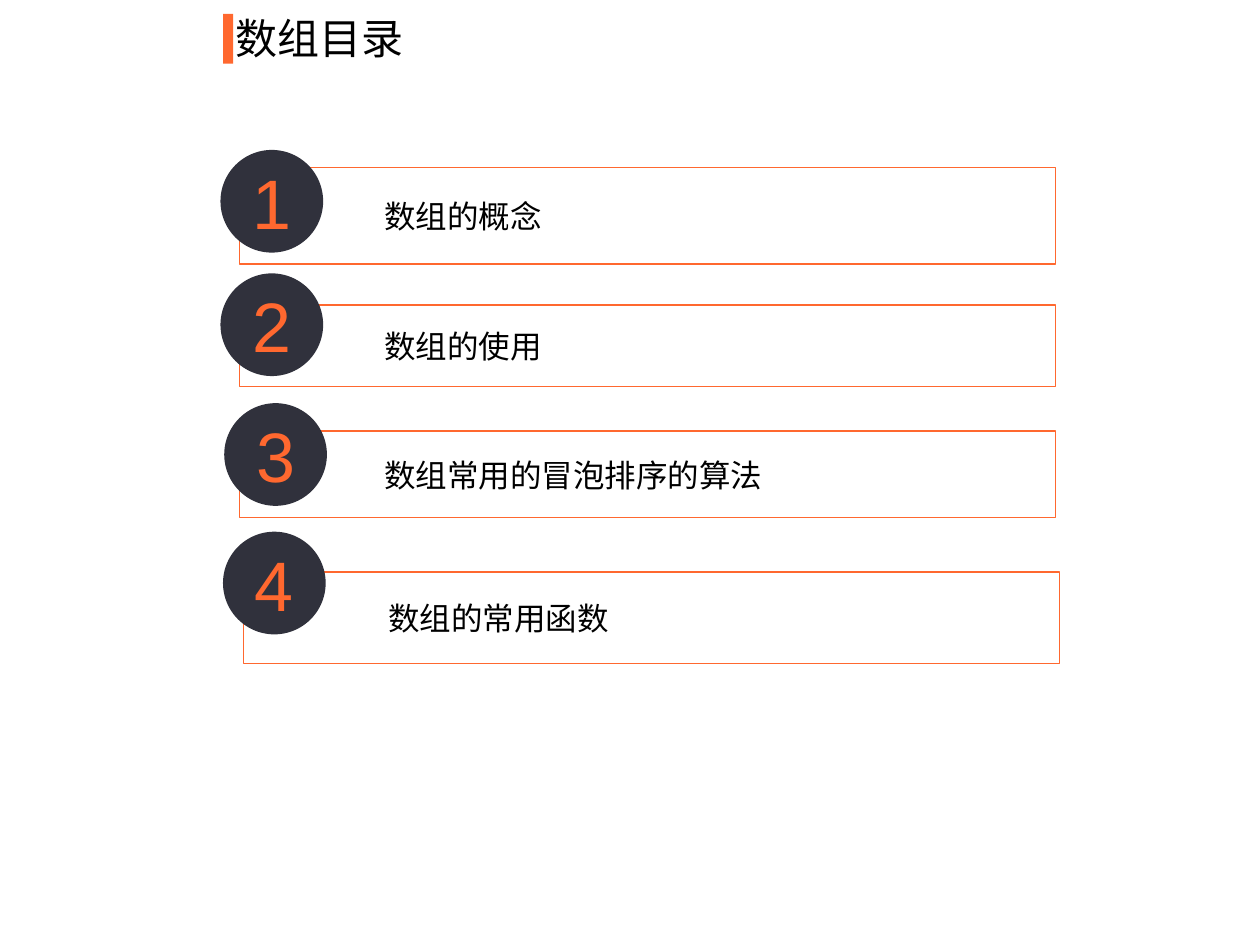
from typing import NamedTuple

from lxml import etree
from pptx import Presentation
from pptx import util as u
from pptx.dml.color import RGBColor
from pptx.enum import shapes, text
from pptx.oxml.ns import qn

COLORS = {"accent": "FF682F", "dark": "30313C", "panel": "FFFFFF", "ink": "000000"}
LATIN, CJK = "Arial", "Noto Sans CJK SC"
CELL = u.Inches(0.1)  # the slide is a grid of 100 columns by 75 rows
PANEL_WIDTH = 64.8
NO_INSET = (0, 0, 0, 0)


class Box(NamedTuple):
    """A place on the grid, in columns and rows."""
    column: float
    row: float
    columns: float
    rows: float

    def lengths(self) -> list[int]:
        return [round(value * CELL) for value in self]


class Entry(NamedTuple):
    label: str
    font: str
    panel: Box
    badge: Box


ENTRIES = [
    Entry("数组的概念", LATIN, Box(19, 13.3, PANEL_WIDTH, 7.65), Box(17.5, 11.9, 8.15, 8.15)),
    Entry("数组的使用", LATIN, Box(19, 24.2, PANEL_WIDTH, 6.5), Box(17.5, 21.7, 8.15, 8.15)),
    Entry("数组常用的冒泡排序的算法", CJK, Box(19, 34.2, PANEL_WIDTH, 6.9), Box(17.8, 32, 8.15, 8.15)),
    Entry("数组的常用函数", CJK, Box(19.3, 45.4, PANEL_WIDTH, 7.25), Box(17.7, 42.2, 8.15, 8.15)),
]


def write(shape, content: str, *, size: float, font: str = CJK, color: str = "ink",
          align=text.PP_ALIGN.LEFT, anchor=text.MSO_ANCHOR.MIDDLE,
          insets: tuple = (1, 0.5, 1, 0.5), indent: float = 0) -> None:
    frame = shape.text_frame
    frame.word_wrap = True
    frame.auto_size = text.MSO_AUTO_SIZE.NONE
    frame.vertical_anchor = anchor
    (frame.margin_left, frame.margin_top,
     frame.margin_right, frame.margin_bottom) = [round(inset * CELL) for inset in insets]
    paragraph = frame.paragraphs[0]
    paragraph.alignment = align
    if indent:
        paragraph._p.get_or_add_pPr().set("marL", str(round(indent * CELL)))
    run = paragraph.add_run()
    run.text = content
    run.font.size = u.Pt(size)
    run.font.name = font
    run.font.color.rgb = RGBColor.from_string(COLORS[color])
    etree.SubElement(run._r.get_or_add_rPr(), qn("a:ea")).set("typeface", CJK)


def draw(slide, kind, box: Box, fill: str, line: str = "", opacity: int = 100):
    shape = slide.shapes.add_shape(kind, *box.lengths())
    shape.shadow.inherit = False
    shape.fill.solid()
    shape.fill.fore_color.rgb = RGBColor.from_string(COLORS[fill])
    if opacity < 100:
        color = shape._element.spPr.find(qn("a:solidFill"))[0]
        etree.SubElement(color, qn("a:alpha")).set("val", str(opacity * 1000))
    if line:
        shape.line.color.rgb = RGBColor.from_string(COLORS[line])
        shape.line.width = u.Pt(0.75)
    else:
        shape.line.fill.background()
    return shape


def draw_entry(slide, number: int, entry: Entry) -> None:
    panel = draw(slide, shapes.MSO_SHAPE.RECTANGLE, entry.panel, "panel", "accent", 40)
    write(panel, entry.label, size=18, font=entry.font, insets=(6.5, 0.8, 0.8, 0.8), indent=5)
    badge = draw(slide, shapes.MSO_SHAPE.OVAL, entry.badge, "dark")
    write(badge, str(number), size=40, font=LATIN, color="accent", align=text.PP_ALIGN.CENTER)


def main() -> None:
    presentation = Presentation()
    presentation.slide_width, presentation.slide_height = 100 * CELL, 75 * CELL
    slide = presentation.slides.add_slide(presentation.slide_layouts[5])

    # Title with its accent bar
    draw(slide, shapes.MSO_SHAPE.RECTANGLE, Box(17.7, 1.1, 0.8, 3.95), "accent")
    title = slide.shapes.title
    title.left, title.top, title.width, title.height = Box(17.7, 0.5, 23.6, 5).lengths()
    write(title, "数组目录", size=24, anchor=text.MSO_ANCHOR.TOP)

    # Numbered contents
    for number, entry in enumerate(ENTRIES, 1):
        draw_entry(slide, number, entry)

    presentation.save("out.pptx")


if __name__ == "__main__":
    main()
